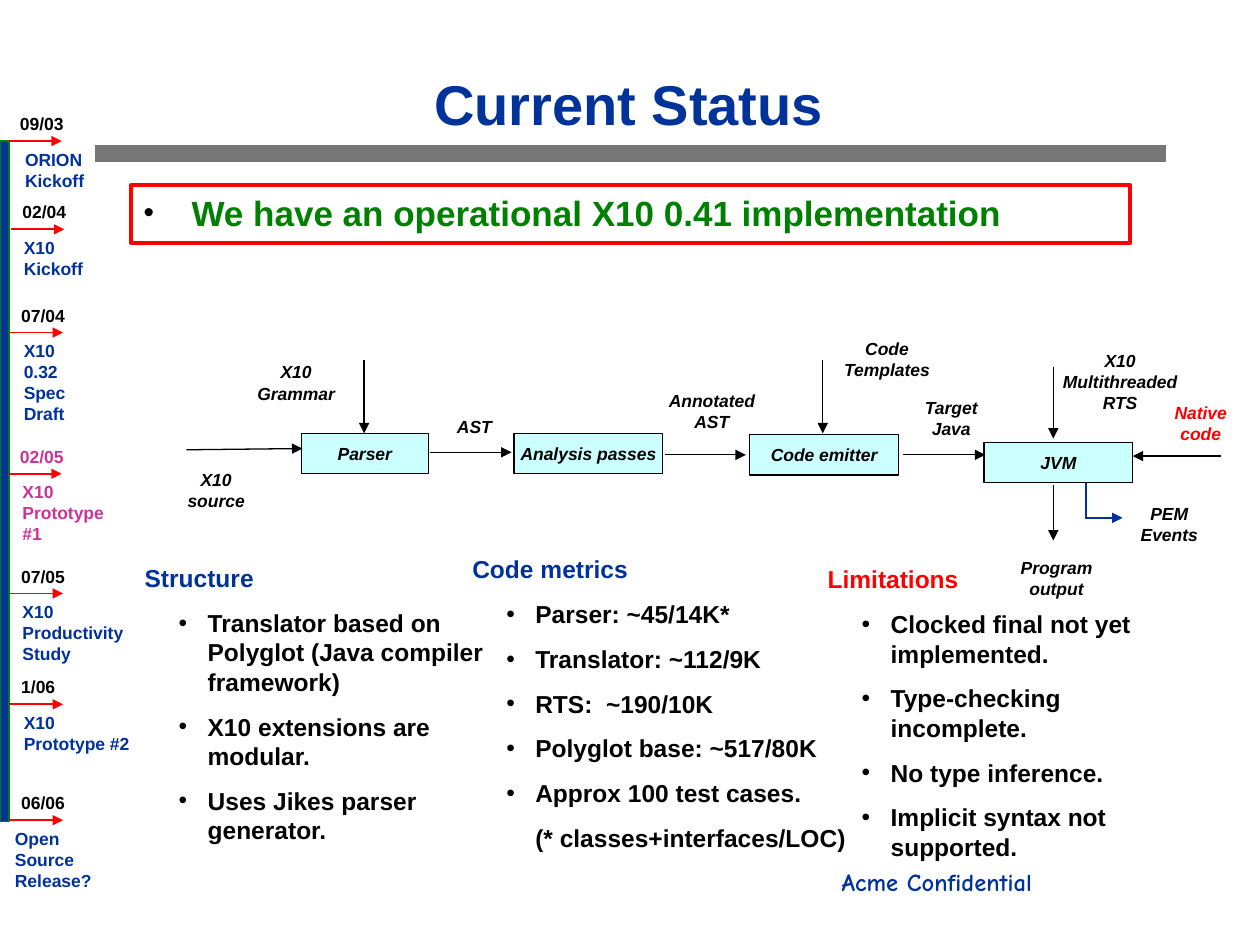
from dataclasses import dataclass
from lxml.etree import SubElement
from pptx import Presentation
from pptx.dml.color import RGBColor
from pptx.enum.shapes import MSO_CONNECTOR as Connector, MSO_SHAPE as Preset
from pptx.enum.text import MSO_ANCHOR as Anchor, MSO_AUTO_SIZE as AutoSize, PP_ALIGN as Align
from pptx.oxml.ns import qn
from pptx.util import Pt

PX = 9144


@dataclass(frozen=True)
class Theme:
    blue: RGBColor = RGBColor(0x00, 0x33, 0x99)
    red: RGBColor = RGBColor(0xFF, 0x00, 0x00)
    green: RGBColor = RGBColor(0x00, 0x80, 0x00)
    black: RGBColor = RGBColor(0x00, 0x00, 0x00)
    gray: RGBColor = RGBColor(0x77, 0x77, 0x77)
    pink: RGBColor = RGBColor(0xCC, 0x33, 0x99)
    cyan: RGBColor = RGBColor(0xCC, 0xFF, 0xFF)
    font: str = "Arial"
    footer_font: str = "Comic Neue"
    title: int = 32
    headline: int = 20
    list: int = 14
    small: int = 10


THEME = Theme()


@dataclass(frozen=True)
class Area:
    left: int
    top: int
    width: int
    height: int

    def emu(self) -> tuple[int, ...]:
        return tuple(v * PX for v in (self.left, self.top, self.width, self.height))


@dataclass(frozen=True)
class Label:
    text: str
    area: Area
    color: RGBColor = THEME.black


@dataclass(frozen=True)
class Arrow:
    start: tuple[int, int]
    end: tuple[int, int]
    color: RGBColor = THEME.black
    weight: float = 0.75
    head: bool = True


@dataclass(frozen=True)
class Milestone:
    date: str
    text: str
    left: int
    axis: int
    label_left: int
    width: int
    height: int
    date_color: RGBColor = THEME.black
    text_color: RGBColor = THEME.blue


@dataclass(frozen=True)
class Column:
    heading: str
    area: Area
    color: RGBColor
    items: tuple[str, ...]
    note: str = ""


STAGES = (
    Label("Parser", Area(239, 344, 101, 32)),
    Label("Analysis passes", Area(408, 344, 118, 32)),
    Label("Code emitter", Area(595, 345, 118, 32)),
    Label("JVM", Area(781, 351, 118, 32)),
)
FLOW_LABELS = (
    Label("X10 source", Area(132, 367, 79, 44)),
    Label("X10 Grammar", Area(188, 282, 94, 44)),
    Label("AST", Area(334, 325, 85, 27)),
    Label("Annotated AST", Area(518, 305, 94, 44)),
    Label("Code Templates", Area(657, 263, 94, 44)),
    Label("Target Java", Area(708, 310, 94, 44)),
    Label("X10 Multithreaded RTS", Area(831, 273, 116, 60)),
    Label("Native code", Area(906, 314, 94, 44), THEME.red),
    Label("Program output", Area(781, 437, 115, 44)),
    Label("PEM Events", Area(893, 394, 70, 44)),
)
FLOW_ARROWS = (
    Arrow((148, 357), (240, 356)),
    Arrow((341, 359), (406, 359)),
    Arrow((528, 361), (592, 361)),
    Arrow((717, 361), (782, 361)),
    Arrow((969, 362), (899, 362)),
    Arrow((289, 286), (289, 344)),
    Arrow((653, 286), (653, 344)),
    Arrow((836, 291), (836, 348)),
    Arrow((836, 385), (836, 429)),
    Arrow((862, 383), (862, 412), THEME.blue, 1, False),
    Arrow((862, 411), (891, 411), THEME.blue, 1),
)
MILESTONES = (
    Milestone("09/03", "ORION Kickoff", 6, 112, 10, 75, 43),
    Milestone("02/04", "X10 Kickoff", 8, 182, 9, 75, 43),
    Milestone("07/04", "X10 0.32 Spec Draft", 7, 264, 9, 75, 76),
    Milestone("02/05", "X10 Prototype #1", 6, 376, 8, 89, 60, THEME.pink, THEME.pink),
    Milestone("07/05", "X10 Productivity\vStudy", 7, 471, 8, 101, 60),
    Milestone("1/06", "X10 Prototype #2", 7, 559, 9, 105, 43),
    Milestone("06/06", "Open Source Release?", 7, 651, 2, 105, 60),
)
COLUMNS = (
    Column("Structure", Area(105, 442, 294, 234), THEME.blue, (
        "Translator based on Polyglot (Java compiler framework)",
        "X10 extensions are modular.", "Uses Jikes parser generator.")),
    Column("Code metrics", Area(365, 435, 389, 246), THEME.blue, (
        "Parser: ~45/14K*", "Translator: ~112/9K", "RTS:  ~190/10K",
        "Polyglot base: ~517/80K", "Approx 100 test cases."),
        "(* classes+interfaces/LOC)"),
    Column("Limitations", Area(647, 443, 311, 245), THEME.red, (
        "Clocked final not yet implemented.", "Type-checking incomplete.",
        "No type inference.", "Implicit syntax not supported.")),
)


def format_paragraph(para, size: int, color: RGBColor, align=Align.LEFT,
                     before: float = 0, italic: bool = False, font: str = THEME.font) -> None:
    para.alignment = align
    para.space_before = Pt(before)
    for span in para.runs:
        span.font.name, span.font.size = font, Pt(size)
        span.font.bold, span.font.italic = True, italic
        span.font.color.rgb = color


def set_indent(para, margin: int, hanging: int, bullet_percent: int = 0) -> None:
    properties = para._p.get_or_add_pPr()
    properties.set("marL", str(margin * PX))
    properties.set("indent", str(-hanging * PX))
    if bullet_percent:
        color = SubElement(properties, qn("a:buClr"))
        SubElement(color, qn("a:srgbClr"), val=str(THEME.black))
        SubElement(properties, qn("a:buSzPct"), val=str(bullet_percent * 1000))
        SubElement(properties, qn("a:buFont"), typeface=THEME.font)
        SubElement(properties, qn("a:buChar"), char="•")


def add_text(page, label: Label, size: int = THEME.small, **style):
    box = page.shapes.add_textbox(*label.area.emu())
    box.text_frame.word_wrap = True
    box.text_frame.text = label.text
    format_paragraph(box.text_frame.paragraphs[0], size, label.color, **style)
    return box


def add_box(page, area: Area, fill: RGBColor, line: RGBColor, weight: float):
    box = page.shapes.add_shape(Preset.RECTANGLE, *area.emu())
    box.shadow.inherit = False
    box.fill.solid()
    box.fill.fore_color.rgb = fill
    box.line.color.rgb, box.line.width = line, Pt(weight)
    return box


def add_stage(page, stage: Label) -> None:
    frame = add_box(page, stage.area, THEME.cyan, THEME.black, 0.75).text_frame
    frame.word_wrap, frame.vertical_anchor = False, Anchor.MIDDLE
    frame.text = stage.text
    format_paragraph(frame.paragraphs[0], THEME.small, stage.color, Align.CENTER, italic=True)


def add_arrow(page, arrow: Arrow) -> None:
    ends = (v * PX for v in (*arrow.start, *arrow.end))
    connector = page.shapes.add_connector(Connector.STRAIGHT, *ends)
    connector.line.color.rgb, connector.line.width = arrow.color, Pt(arrow.weight)
    properties = connector.element.spPr
    if arrow.head:
        SubElement(properties.find(qn("a:ln")), qn("a:tailEnd"), type="triangle")
    SubElement(properties, qn("a:effectLst"))


def add_milestone(page, mark: Milestone) -> None:
    start = mark.left + 1
    add_arrow(page, Arrow((start, mark.axis), (start + 42, mark.axis), THEME.red, 1))
    add_text(page, Label(mark.date, Area(mark.left, mark.axis - 27, 72, 26), mark.date_color))
    area = Area(mark.label_left, mark.axis + 1, mark.width, mark.height)
    add_text(page, Label(mark.text, area, mark.text_color), before=6.2)


def add_column(page, column: Column) -> None:
    heading = Label(column.heading, column.area, column.color)
    frame = add_text(page, heading, THEME.list, before=8.8).text_frame
    for text in column.items + ((column.note,) if column.note else ()):
        para = frame.add_paragraph()
        para.text, para.level = text, 1
        format_paragraph(para, THEME.list, THEME.black, before=8.8)
        bulleted = text != column.note
        set_indent(para, 50, 23 if bulleted else 0, 100 if bulleted else 0)


def fill_placeholder(box, label: Label, size: int, anchor, **style):
    box.left, box.top, box.width, box.height = label.area.emu()
    frame = box.text_frame
    frame.text = label.text
    frame.auto_size, frame.vertical_anchor = AutoSize.NONE, anchor
    format_paragraph(frame.paragraphs[0], size, label.color, **style)
    return frame.paragraphs[0]


def main() -> None:
    deck = Presentation()
    deck.slide_width, deck.slide_height = 1000 * PX, 750 * PX
    page = deck.slides.add_slide(deck.slide_layouts[1])
    add_arrow(page, Arrow((75, 122), (925, 122), THEME.gray, 10, False))
    title = Label("Current Status", Area(154, 50, 690, 63), THEME.blue)
    fill_placeholder(page.shapes.title, title, THEME.title, Anchor.MIDDLE, align=Align.CENTER)
    body = page.placeholders[1]
    headline = Label("We have an operational X10 0.41 implementation",
                     Area(104, 147, 793, 46), THEME.green)
    para = fill_placeholder(body, headline, THEME.headline, Anchor.TOP, before=12.5)
    set_indent(para, 38, 38, 85)
    body.line.color.rgb, body.line.width = THEME.red, Pt(2.25)
    for stage in STAGES:
        add_stage(page, stage)
    for arrow in FLOW_ARROWS:
        add_arrow(page, arrow)
    for label in FLOW_LABELS:
        add_text(page, label, align=Align.CENTER, before=6.2, italic=True)
    for column in COLUMNS:
        add_column(page, column)
    add_box(page, Area(0, 112, 7, 540), THEME.blue, THEME.green, 1)
    for mark in MILESTONES:
        add_milestone(page, mark)
    footer = Label("Acme Confidential", Area(160, 683, 669, 50), THEME.blue)
    add_text(page, footer, THEME.list, align=Align.RIGHT, font=THEME.footer_font)
    deck.save("out.pptx")


if __name__ == "__main__":
    main()
